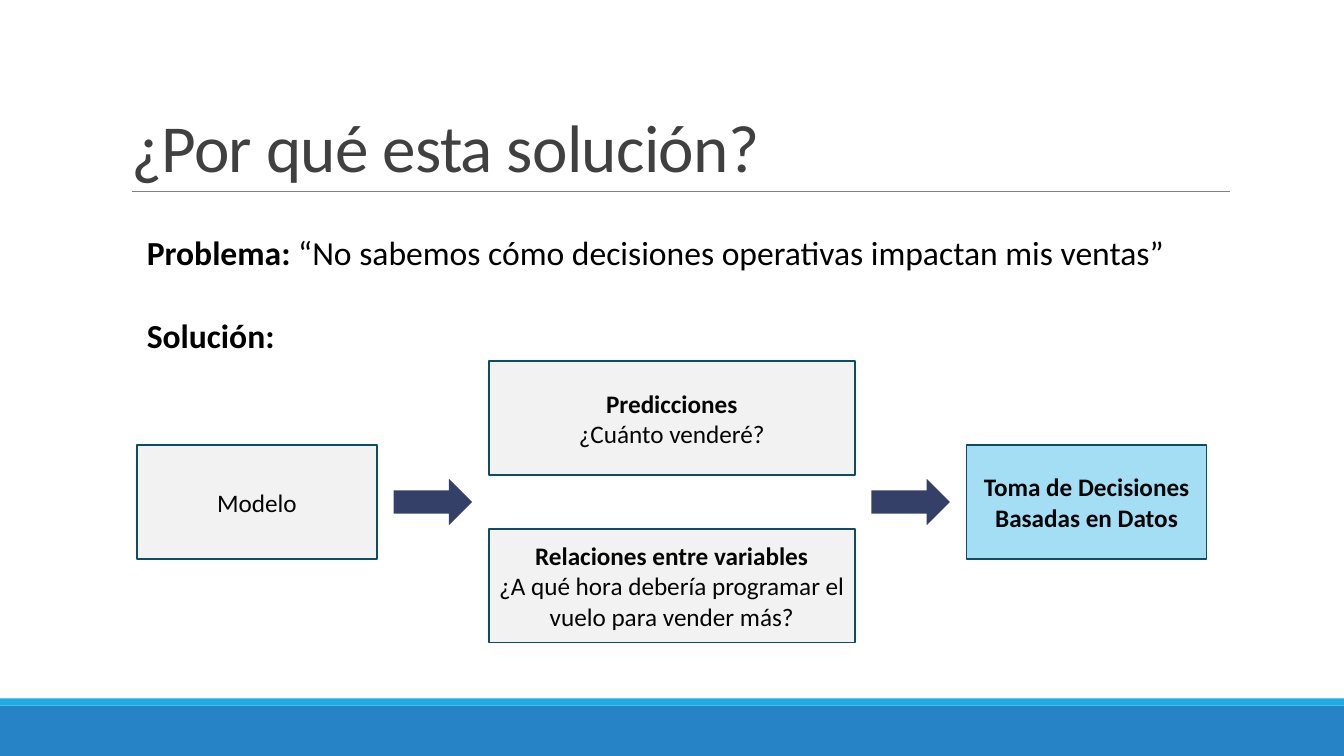
from pptx import Presentation
from pptx.dml.color import RGBColor
from pptx.enum.shapes import MSO_CONNECTOR, MSO_SHAPE
from pptx.enum.text import MSO_ANCHOR, MSO_AUTO_SIZE, PP_ALIGN
from pptx.oxml.ns import qn
from pptx.util import Cm, Pt
from lxml import etree

RECT = MSO_SHAPE.RECTANGLE
ARROW = MSO_SHAPE.RIGHT_ARROW
LINE = MSO_CONNECTOR.STRAIGHT
MIDDLE = MSO_ANCHOR.MIDDLE
BOTTOM = MSO_ANCHOR.BOTTOM
GROW = MSO_AUTO_SIZE.SHAPE_TO_FIT_TEXT
FIXED = MSO_AUTO_SIZE.NONE
LEFT = PP_ALIGN.LEFT
CENTER = PP_ALIGN.CENTER

FONT = "Calibri"
WIDE, HIGH = 33.87, 19.05
EDGE, GAP = 3.45, 0.42
SIDE, CORE, TALL = 6.05, 9.22, 2.87
DART, THICK = 1.98, 1.17
MID, SHIFT = 12.65, 2.11
GREY, SKY, NAVY, INK = "F2F2F2", "A4DEF4", "344068", "050505"


def color(code):
    return RGBColor.from_string(code)


def add_run(par, text, size, ink, bold=False):
    run = par.add_run()
    run.text = text
    font = run.font
    font.name, font.size, font.bold = FONT, Pt(size), bold
    font.color.rgb = color(ink)
    return run


def add_block(slide, kind, x, y, w, h, fill, edge=None):
    block = slide.shapes.add_shape(kind, Cm(x), Cm(y), Cm(w), Cm(h))
    block.shadow.inherit = False
    block.fill.solid()
    block.fill.fore_color.rgb = color(fill)
    if edge:
        block.line.color.rgb = color(edge)
        block.line.width = Pt(1.25)
    else:
        block.line.fill.background()
    return block


def add_box(slide, x, mid, w, fill, rows):
    box = add_block(slide, RECT, x, mid - TALL / 2, w, TALL, fill, "0C4C64")
    frame = box.text_frame
    frame.word_wrap = True
    frame.vertical_anchor = MIDDLE
    for i, (text, bold) in enumerate(rows):
        par = frame.add_paragraph() if i else frame.paragraphs[0]
        par.alignment = CENTER
        add_run(par, text, 18, INK, bold)


def add_arrow(slide, x):
    add_block(slide, ARROW, x, MID - THICK / 2, DART, THICK, NAVY)


def add_note(slide, y, parts):
    note = slide.shapes.add_textbox(Cm(EDGE), Cm(y), Cm(26.95), Cm(1.28))
    frame = note.text_frame
    frame.word_wrap = True
    frame.auto_size = GROW
    for text, bold in parts:
        add_run(frame.paragraphs[0], text, 24, "000000", bold)


def add_title(slide, text):
    title = slide.shapes.title
    title.left, title.top = Cm(3.05), Cm(0.79)
    title.width, title.height = Cm(27.94), Cm(4.04)
    frame = title.text_frame
    frame.word_wrap = True
    frame.auto_size = FIXED
    frame.vertical_anchor = BOTTOM
    par = frame.paragraphs[0]
    par.alignment = LEFT
    par.line_spacing = 0.85
    run = add_run(par, text, 48, "404040")
    run.font._element.set("spc", "-50")


def add_rule(slide, x, y, end):
    rule = slide.shapes.add_connector(LINE, Cm(x), Cm(y), Cm(end), Cm(y))
    rule.line.color.rgb = color("808080")
    rule.line.width = Pt(0.5)
    etree.SubElement(rule._element.spPr, qn("a:effectLst"))


def main():
    deck = Presentation()
    deck.slide_width, deck.slide_height = Cm(WIDE), Cm(HIGH)
    slide = deck.slides.add_slide(deck.slide_layouts[5])

    add_block(slide, RECT, 0, 17.78, WIDE, 1.27, "2683C6")
    add_block(slide, RECT, 0, 17.6, WIDE, 0.18, "1CADE4")
    add_rule(slide, 3.33, 4.83, 31)
    add_title(slide, "¿Por qué esta solución?")

    add_note(slide, 5.72, [
        ("Problema: ", True),
        ("“No sabemos cómo decisiones operativas impactan mis ventas”", False),
    ])
    add_note(slide, 7.8, [("Solución:", True)])

    first = EDGE + SIDE + GAP
    core = first + DART + GAP
    second = core + CORE + GAP
    last = second + DART + GAP
    add_box(slide, EDGE, MID, SIDE, GREY, [("Modelo", False)])
    add_arrow(slide, first)
    add_box(slide, core, MID - SHIFT, CORE, GREY, [
        ("Predicciones", True),
        ("¿Cuánto venderé?", False),
    ])
    add_box(slide, core, MID + SHIFT, CORE, GREY, [
        ("Relaciones entre variables", True),
        ("¿A qué hora debería programar el vuelo para vender más?", False),
    ])
    add_arrow(slide, second)
    add_box(slide, last, MID, SIDE, SKY, [
        ("Toma de Decisiones Basadas en Datos", True),
    ])
    deck.save("out.pptx")


main()
